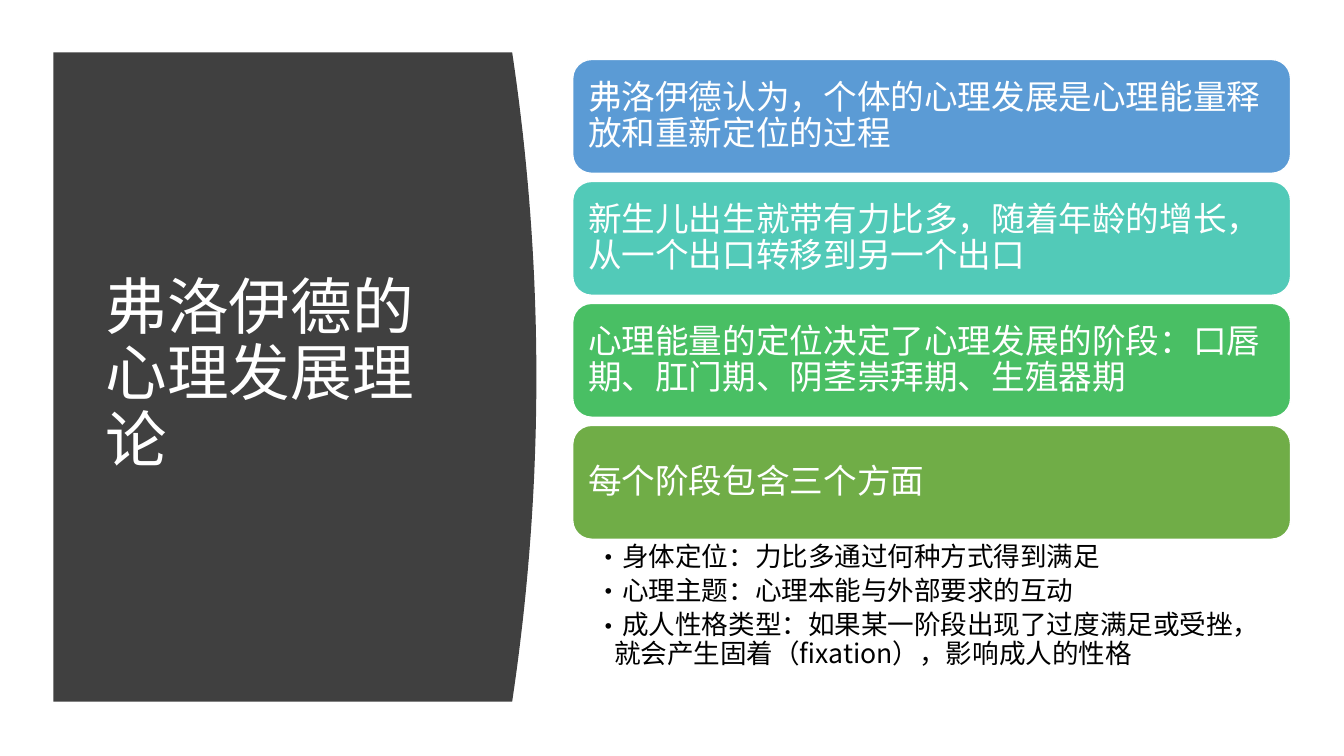
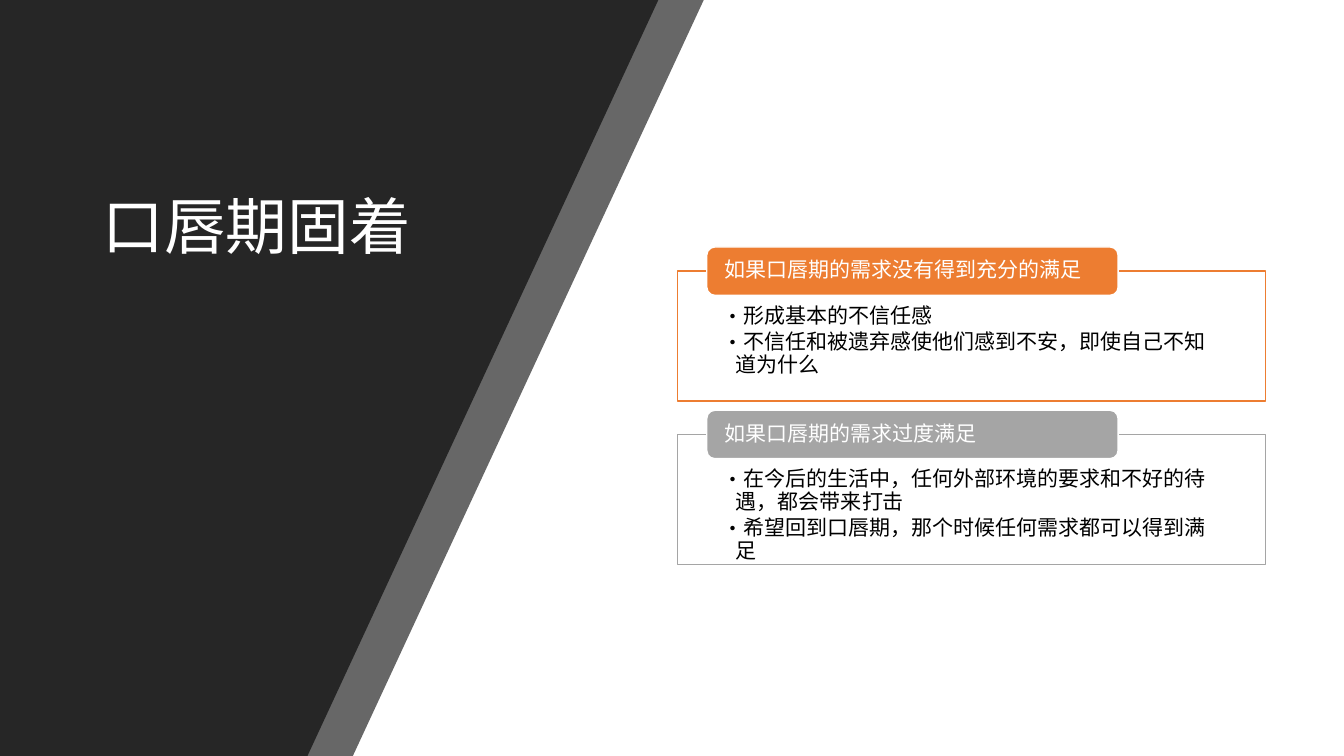
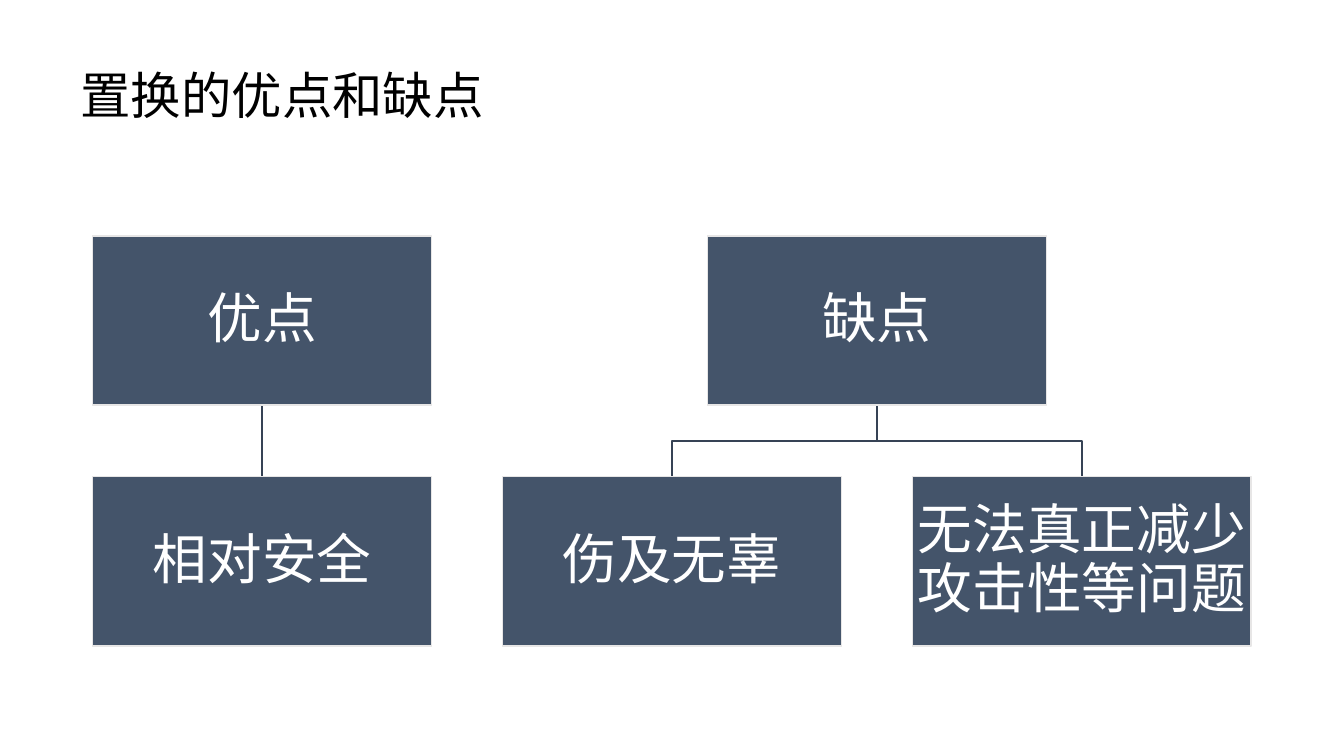
"""Build three slides on psychological development, oral fixation and displacement."""
from lxml.etree import SubElement
from pptx import Presentation
from pptx.dml.color import RGBColor
from pptx.enum.shapes import MSO_CONNECTOR as Connector, MSO_SHAPE as Preset
from pptx.enum.text import MSO_ANCHOR as Anchor, PP_ALIGN as Align
from pptx.oxml.ns import qn
from pptx.util import Inches, Pt

WIDTH, HEIGHT = 13.33, 7.5
FONT = "Noto Sans CJK SC"

WHITE = RGBColor(0xFF, 0xFF, 0xFF)
BLACK = RGBColor(0, 0, 0)
CHARCOAL = RGBColor(0x40, 0x40, 0x40)
NIGHT = RGBColor(0x26, 0x26, 0x26)
STRIPE = RGBColor(0x67, 0x67, 0x67)
BLUE = RGBColor(0x5B, 0x9B, 0xD5)
TEAL = RGBColor(0x52, 0xCA, 0xB8)
EMERALD = RGBColor(0x49, 0xBF, 0x64)
GREEN = RGBColor(0x70, 0xAD, 0x47)
ORANGE = RGBColor(0xED, 0x7D, 0x31)
GRAY = RGBColor(0xA5, 0xA5, 0xA5)
SLATE = RGBColor(0x44, 0x54, 0x6A)
SLATE_LINE = RGBColor(0x36, 0x43, 0x55)
PALE = RGBColor(0xE7, 0xE6, 0xE6)

TITLE_INSETS = (0.1, 0.05, 0.1, 0.05)
STATEMENTS = (
    ("弗洛伊德认为，个体的心理发展是心理能量释放和重新定位的过程", BLUE),
    ("新生儿出生就带有力比多，随着年龄的增长，从一个出口转移到另一个出口", TEAL),
    ("心理能量的定位决定了心理发展的阶段：口唇期、肛门期、阴茎崇拜期、生殖器期", EMERALD),
    ("每个阶段包含三个方面", GREEN),
)
ASPECTS = (
    "身体定位：力比多通过何种方式得到满足",
    "心理主题：心理本能与外部要求的互动",
    "成人性格类型：如果某一阶段出现了过度满足或受挫，就会产生固着（fixation），影响成人的性格",
)
FIXATIONS = (
    ("如果口唇期的需求没有得到充分的满足", ORANGE,
     ("形成基本的不信任感", "不信任和被遗弃感使他们感到不安，即使自己不知道为什么")),
    ("如果口唇期的需求过度满足", GRAY,
     ("在今后的生活中，任何外部环境的要求和不好的待遇，都会带来打击",
      "希望回到口唇期，那个时候任何需求都可以得到满足")),
)
BRANCHES = (
    ("优点", ((0, "相对安全"),)),
    ("缺点", ((1, "伤及无辜"), (2, "无法真正减少攻击性等问题"))),
)


def add_slide(presentation):
    """Add a slide with the blank layout."""
    return presentation.slides.add_slide(presentation.slide_layouts[6])


def style_paragraph(paragraph, size, color):
    """Set line spacing and the Latin and East Asian font of a paragraph."""
    paragraph.line_spacing = 0.9
    font = paragraph.font
    font.size = Pt(size)
    font.color.rgb = color
    font.name = FONT
    defaults = paragraph._p.pPr.find(qn("a:defRPr"))
    SubElement(defaults, qn("a:ea")).set("typeface", FONT)


def add_bullet(paragraph, indent):
    """Give a paragraph a hanging bullet."""
    properties = paragraph._p.get_or_add_pPr()
    properties.set("marL", str(Inches(indent)))
    properties.set("indent", str(-Inches(indent)))
    SubElement(properties, qn("a:buFont")).set("typeface", FONT)
    SubElement(properties, qn("a:buChar")).set("char", "•")


def write(shape, lines, size, color, insets, anchor=Anchor.MIDDLE,
          align=Align.LEFT, bullet_indent=None, space_after=0):
    """Fill a shape's text frame with one paragraph a line."""
    frame = shape.text_frame
    frame.word_wrap = True
    frame.vertical_anchor = anchor
    (frame.margin_left, frame.margin_top,
     frame.margin_right, frame.margin_bottom) = map(Inches, insets)
    for index, line in enumerate(lines):
        paragraph = frame.add_paragraph() if index else frame.paragraphs[0]
        paragraph.text = line
        if bullet_indent:
            add_bullet(paragraph, bullet_indent)
        paragraph.alignment = align
        paragraph.space_after = Pt(space_after)
        style_paragraph(paragraph, size, color)


def add_text(slide, box, lines, size, color, insets, **options):
    """Add a text box."""
    shape = slide.shapes.add_textbox(*map(Inches, box))
    write(shape, lines, size, color, insets, **options)


def add_title(slide, box, text, color, size=44):
    """Add the slide title."""
    add_text(slide, box, [text], size, color, TITLE_INSETS)


def add_box(slide, preset, box, fill, line):
    """Add a filled and outlined preset shape."""
    shape = slide.shapes.add_shape(preset, *map(Inches, box))
    shape.shadow.inherit = False
    shape.fill.solid()
    shape.fill.fore_color.rgb = fill
    shape.line.color.rgb = line
    shape.line.width = Pt(1)
    return shape


def add_outline(slide, points, close):
    """Add a freeform through the points."""
    start, *rest = [(Inches(x), Inches(y)) for x, y in points]
    builder = slide.shapes.build_freeform(*start)
    builder.add_line_segments(rest, close=close)
    shape = builder.convert_to_shape()
    shape.shadow.inherit = False
    return shape


def add_panel(slide, points, fill):
    """Add a closed, unlined polygon."""
    shape = add_outline(slide, points, close=True)
    shape.fill.solid()
    shape.fill.fore_color.rgb = fill
    shape.line.fill.background()


def add_branch(slide, start, end):
    """Join a parent to a child, with a bend halfway if they are not aligned."""
    (x1, y1), (x2, y2) = start, end
    if x1 == x2:
        shape = slide.shapes.add_connector(Connector.STRAIGHT, *map(Inches, (x1, y1, x2, y2)))
        SubElement(shape._element.spPr, qn("a:effectLst"))
    else:
        middle = (y1 + y2) / 2
        shape = add_outline(slide, [start, (x1, middle), (x2, middle), end], close=False)
        shape.fill.background()
    shape.line.color.rgb = SLATE_LINE
    shape.line.width = Pt(1)


def build_theory(presentation):
    """Stack four statements beside a curved title panel."""
    slide = add_slide(presentation)
    left, top, bottom, edge, bulge, steps = 0.53, 0.52, 6.96, 5.08, 0.24, 40
    shares = [step / steps for step in range(steps + 1)]
    curve = [(edge + bulge * 4 * share * (1 - share), top + (bottom - top) * share)
             for share in shares]
    add_panel(slide, [(left, top), *curve, (left, bottom)], CHARCOAL)
    add_title(slide, (0.95, 1.11, 3.74, 5.24), "弗洛伊德的心理发展理论", WHITE)
    column, first, width, height, pitch = 5.68, 0.59, 7.12, 1.13, 1.21
    for row, (text, color) in enumerate(STATEMENTS):
        box = (column, first + row * pitch, width, height)
        shape = add_box(slide, Preset.ROUNDED_RECTANGLE, box, color, WHITE)
        write(shape, [text], 24, WHITE, (0.1, 0.1, 0.1, 0.1))
    add_text(slide, (column, 5.36, width, 1.52), ASPECTS, 19, BLACK,
             (0.23, 0.03, 0.19, 0.03), anchor=Anchor.TOP, bullet_indent=0.18, space_after=4)


def build_fixation(presentation):
    """Show two labelled boxes beside a slanted title panel."""
    slide = add_slide(presentation)
    for edge, color in ((6.98, STRIPE), (6.53, NIGHT)):
        add_panel(slide, [(0, 0), (edge, 0), (edge - 3.48, HEIGHT), (0, HEIGHT)], color)
    add_title(slide, (0.92, 0.48, 3.58, 3.6), "口唇期固着", WHITE)
    for row, (label, color, points) in enumerate(FIXATIONS):
        top = 2.69 + row * 1.62
        body = add_box(slide, Preset.RECTANGLE, (6.72, top, 5.83, 1.29), WHITE, color)
        write(body, points, 15, BLACK, (0.45, 0.34, 0.45, 0.12),
              anchor=Anchor.TOP, bullet_indent=0.13, space_after=2.25)
        tab = add_box(slide, Preset.ROUNDED_RECTANGLE, (7.01, top - 0.24, 4.08, 0.48),
                      color, WHITE)
        write(tab, [label], 15, WHITE, (0.15, 0, 0.15, 0))


def build_displacement(presentation):
    """Draw the tree of advantages and drawbacks."""
    slide = add_slide(presentation)
    add_title(slide, (0.7, 0.35, 11.93, 1.24), "置换的优点和缺点", BLACK, size=36)
    margin, width, height, parent_top, child_top = 0.92, 3.36, 1.68, 2.34, 4.73
    pitch = (WIDTH - 2 * margin - width) / 2

    def center_of(column):
        """Return the horizontal centre of a column."""
        return margin + column * pitch + width / 2

    def add_node(column, top, text):
        """Add a tree node."""
        box = (margin + column * pitch, top, width, height)
        shape = add_box(slide, Preset.RECTANGLE, box, SLATE, PALE)
        write(shape, [text], 39, WHITE, (0.03,) * 4, align=Align.CENTER)

    for name, children in BRANCHES:
        parent = sum(column for column, _ in children) / len(children)
        for column, text in children:
            add_branch(slide, (center_of(parent), parent_top + height),
                       (center_of(column), child_top))
            add_node(column, child_top, text)
        add_node(parent, parent_top, name)


def main():
    """Build and save the presentation."""
    presentation = Presentation()
    presentation.slide_width = Inches(WIDTH)
    presentation.slide_height = Inches(HEIGHT)
    build_theory(presentation)
    build_fixation(presentation)
    build_displacement(presentation)
    presentation.save("out.pptx")


if __name__ == "__main__":
    main()
